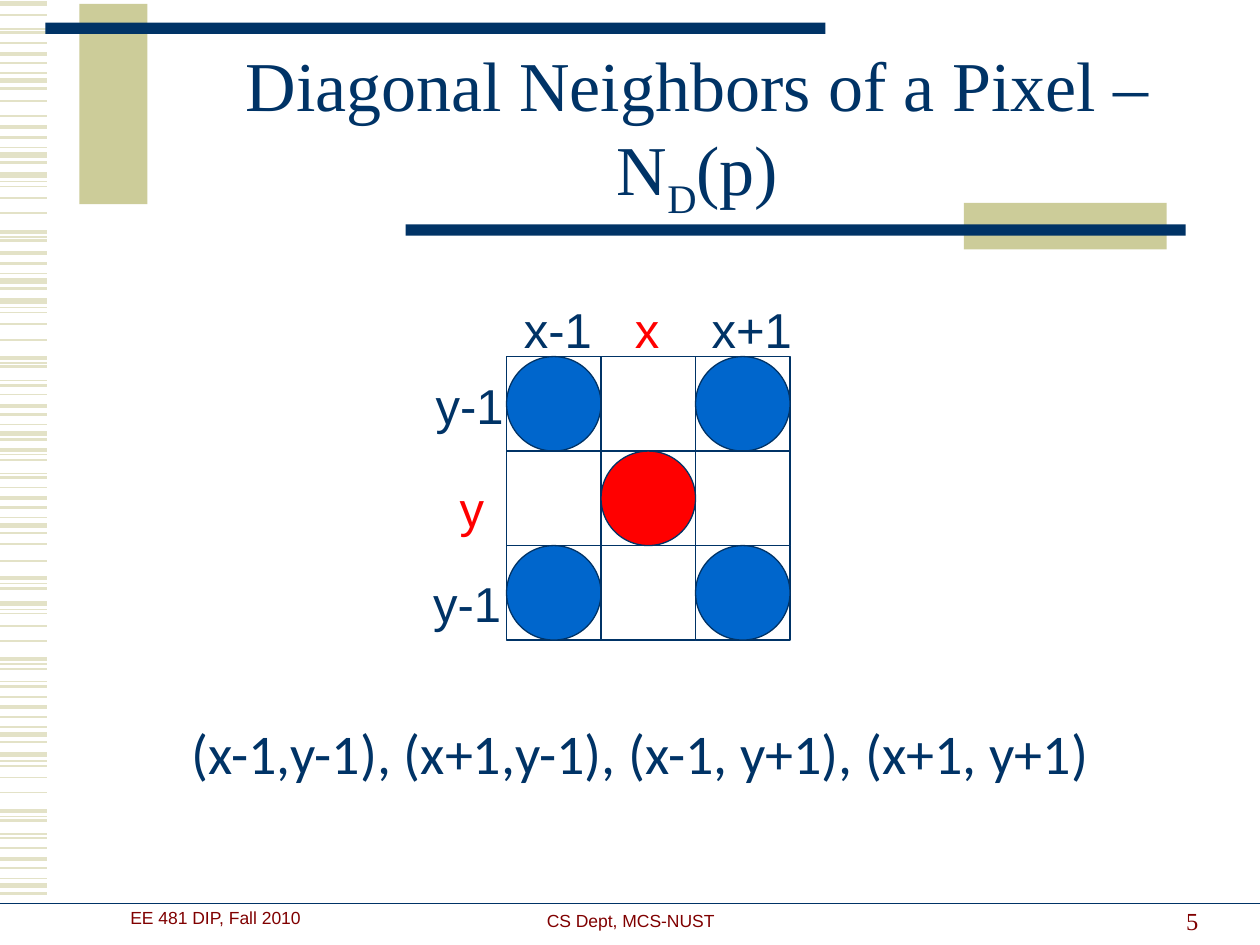
import pptx
import pptx.util
import pptx.dml.color
import pptx.enum.shapes
import pptx.enum.text
import pptx.oxml.ns
import lxml.etree

COLORS = {"navy": "003366", "tan": "CCCC99", "stripe": "E3E2C7",
          "red": "FF0000", "blue": "0066CC", "maroon": "800000"}
ALIGN = pptx.enum.text.PP_ALIGN
ANCHOR = pptx.enum.text.MSO_ANCHOR
SHAPE = pptx.enum.shapes.MSO_SHAPE

deck = pptx.Presentation()
deck.slide_width = pptx.util.Inches(10)
deck.slide_height = pptx.util.Inches(7.5)
COLUMN = deck.slide_width / 100
ROW = deck.slide_height / 75
slide = deck.slides.add_slide(deck.slide_layouts[1])
shapes = slide.shapes
title, body = slide.placeholders


def area(left, top, width, height):
    """Turn columns and rows of the slide grid into lengths."""
    return [round(left * COLUMN), round(top * ROW),
            round(width * COLUMN), round(height * ROW)]


def write(box, *spans, size, font="Arial", color="navy", align=ALIGN.LEFT,
          anchor=ANCHOR.TOP, wrap=True):
    """Fill a box with one paragraph; a span is text, or (text, baseline)."""
    frame = box.text_frame
    frame.word_wrap = wrap
    frame.auto_size = pptx.enum.text.MSO_AUTO_SIZE.NONE
    frame.vertical_anchor = anchor
    frame.margin_left = frame.margin_right = COLUMN
    frame.margin_top = frame.margin_bottom = ROW / 2
    para = frame.paragraphs[0]
    para.alignment = align
    para.space_before = pptx.util.Pt(0)
    para.line_spacing = 1.0
    for item in spans:
        text, baseline = item if isinstance(item, tuple) else (item, None)
        span = para.add_run()
        span.text = text
        span.font.size = pptx.util.Pt(size)
        span.font.name = font
        span.font.color.rgb = pptx.dml.color.RGBColor.from_string(COLORS[color])
        if baseline:
            span.font._element.set("baseline", str(baseline))


# Margin stripes: line weight in points, then the rows they lie on
stripes = {
    0.75: [69.7, 60.4, 66.2, 64.8, 57.7, 48.4, 54.1, 52.7, 46.3, 41.1, 37.6, 36.1,
           33.7, 24.4, 30.2, 28.8, 21.7, 14.4, 18.8, 11.7, 5.8, 2.3],
    1: [67.3, 62.9, 60.8, 61.7, 55.3, 50.9, 48.7, 49.7, 44.5, 43.2, 38.7, 31.3,
        27, 24.8, 25.7, 16.9, 14.8, 15.7, 9.2, 8, 3.4],
    1.5: [70.9, 68.9, 66.5, 65.1, 58.9, 56.9, 54.5, 53.1, 46.7, 42.3, 40.3, 37.9,
          36.5, 34.9, 32.9, 30.6, 29.1, 22.9, 20.9, 19.1, 12.9, 10.9, 7, 5, 2.6, 1.2],
    2.25: [68.2, 64.4, 56.1, 52.3, 45.9, 39.5, 35.7, 32.2, 28.4, 20.1, 18.4, 10.1, 4.3],
    3: [70.3, 59.9, 58.3, 47.9, 41.7, 34.4, 23.9, 22.3, 13.9, 12.3, 6.4, 0.3],
}
rules = [(row, 3.7, weight, "stripe") for weight, rows in stripes.items() for row in rows]
rules.append((71.7, 100, 0.75, "navy"))
for row, length, weight, color in rules:
    left, top, width, _ = area(0, row, length, 0)
    rule = shapes.add_connector(pptx.enum.shapes.MSO_CONNECTOR.STRAIGHT,
                                left, top, left + width, top)
    rule.line.color.rgb = pptx.dml.color.RGBColor.from_string(COLORS[color])
    rule.line.width = pptx.util.Pt(weight)
    lxml.etree.SubElement(rule._element.spPr, pptx.oxml.ns.qn("a:effectLst"))

# Title bars, then the pixel grid: kind, place, fill, outline
CELL, GRID_LEFT, GRID_TOP = 7.5, 40.2, 28.3
figures = [
    (SHAPE.RECTANGLE, (6.3, 0.3, 5.4, 15.9), "tan", None),
    (SHAPE.RECTANGLE, (3.6, 1.8, 61.9, 0.9), "navy", None),
    (SHAPE.RECTANGLE, (76.5, 16.1, 16.1, 3.7), "tan", None),
    (SHAPE.RECTANGLE, (32.2, 17.8, 61.9, 0.9), "navy", None),
]
for row in range(3):
    for column in range(3):
        place = (GRID_LEFT + column * CELL, GRID_TOP + row * CELL, CELL, CELL)
        figures.append((SHAPE.RECTANGLE, place, None, "navy"))
        if row == column == 1:
            figures.append((SHAPE.OVAL, place, "red", "navy"))
        elif row != 1 and column != 1:
            figures.append((SHAPE.OVAL, place, "blue", "navy"))
for kind, place, fill, outline in figures:
    figure = shapes.add_shape(kind, *area(*place))
    figure.shadow.inherit = False
    if fill:
        figure.fill.solid()
        figure.fill.fore_color.rgb = pptx.dml.color.RGBColor.from_string(COLORS[fill])
    else:
        figure.fill.background()
    if outline:
        figure.line.color.rgb = pptx.dml.color.RGBColor.from_string(COLORS[outline])
        figure.line.width = pptx.util.Pt(0.75)
    else:
        figure.line.fill.background()

# Coordinate labels
labels = [("x-1", 40.6, 23.3, 7.4, "navy"), ("x", 49.4, 23.3, 3.9, "red"),
          ("x+1", 55.5, 23.3, 8.3, "navy"), ("y-1", 33.6, 29.3, 7.4, "navy"),
          ("y", 35.5, 37.5, 3.9, "red"), ("y-1", 33.4, 45, 7.4, "navy")]
for text, left, top, width, color in labels:
    label = shapes.add_textbox(*area(left, top, width, 5.7))
    write(label, text, size=28, color=color, wrap=False)

# Title and list of neighbors
title.left, title.top, title.width, title.height = area(15, 4.2, 80.7, 12.5)
write(title, "Diagonal Neighbors of a Pixel –N", ("D", -25000), "(p)", size=40,
      font="Times New Roman", align=ALIGN.CENTER, anchor=ANCHOR.MIDDLE)

body.left, body.top, body.width, body.height = area(14.2, 54.2, 79.2, 8.7)
properties = body.text_frame.paragraphs[0]._p.get_or_add_pPr()
properties.set("marL", "0")
properties.set("indent", "0")
lxml.etree.SubElement(properties, pptx.oxml.ns.qn("a:buNone"))
write(body, "(x-1,y-1), (x+1,y-1), (x-1, y+1), (x+1, y+1)", size=32,
      font="Calibri", anchor=ANCHOR.BOTTOM)

# Footer
course = shapes.add_textbox(*area(9.2, 71.5, 15.8, 2.6))
write(course, "EE 481 DIP, Fall 2010", size=10, color="maroon", align=ALIGN.CENTER)
department = shapes.add_textbox(*area(29.2, 71.7, 41.7, 2.6))
write(department, "CS Dept, MCS-NUST", size=10, color="maroon", align=ALIGN.CENTER)
page_number = shapes.add_textbox(*area(72.1, 69.7, 24, 5))
write(page_number, "5", size=14, font="Times New Roman", color="maroon",
      align=ALIGN.RIGHT, anchor=ANCHOR.BOTTOM)

deck.save("out.pptx")
